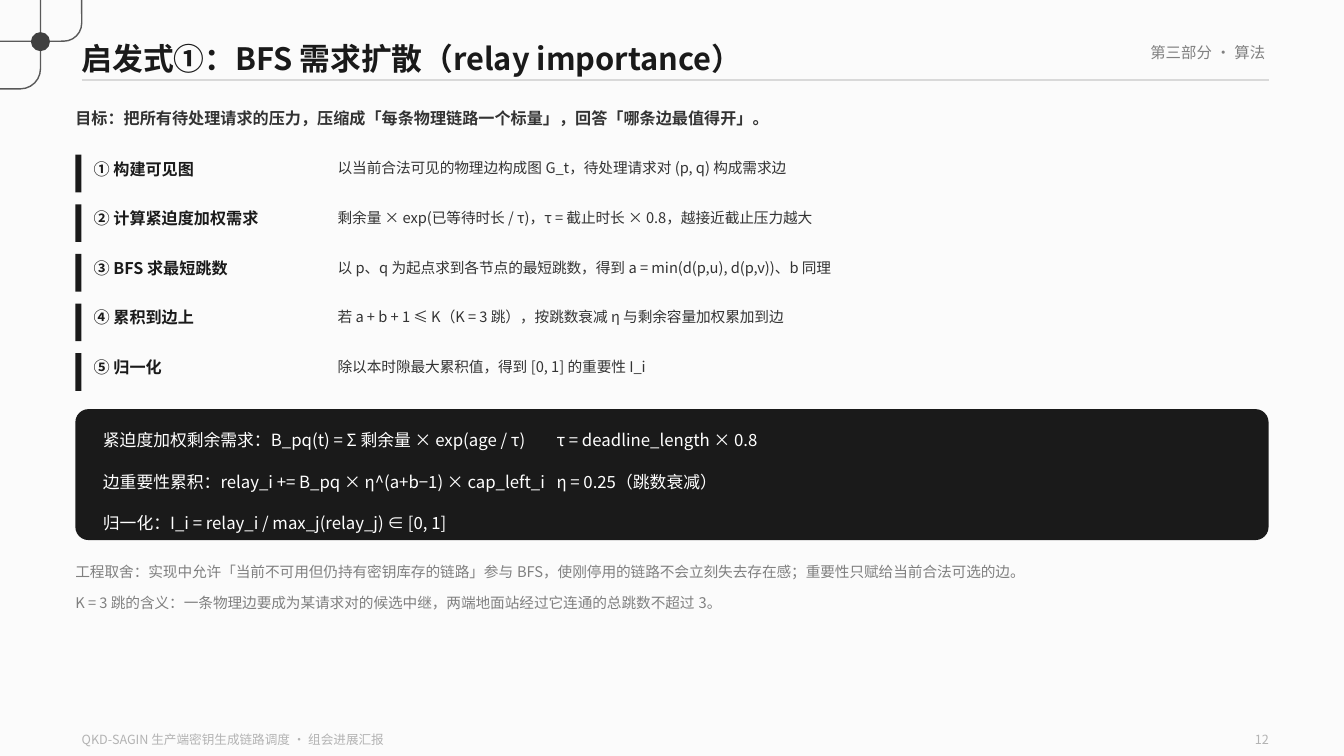
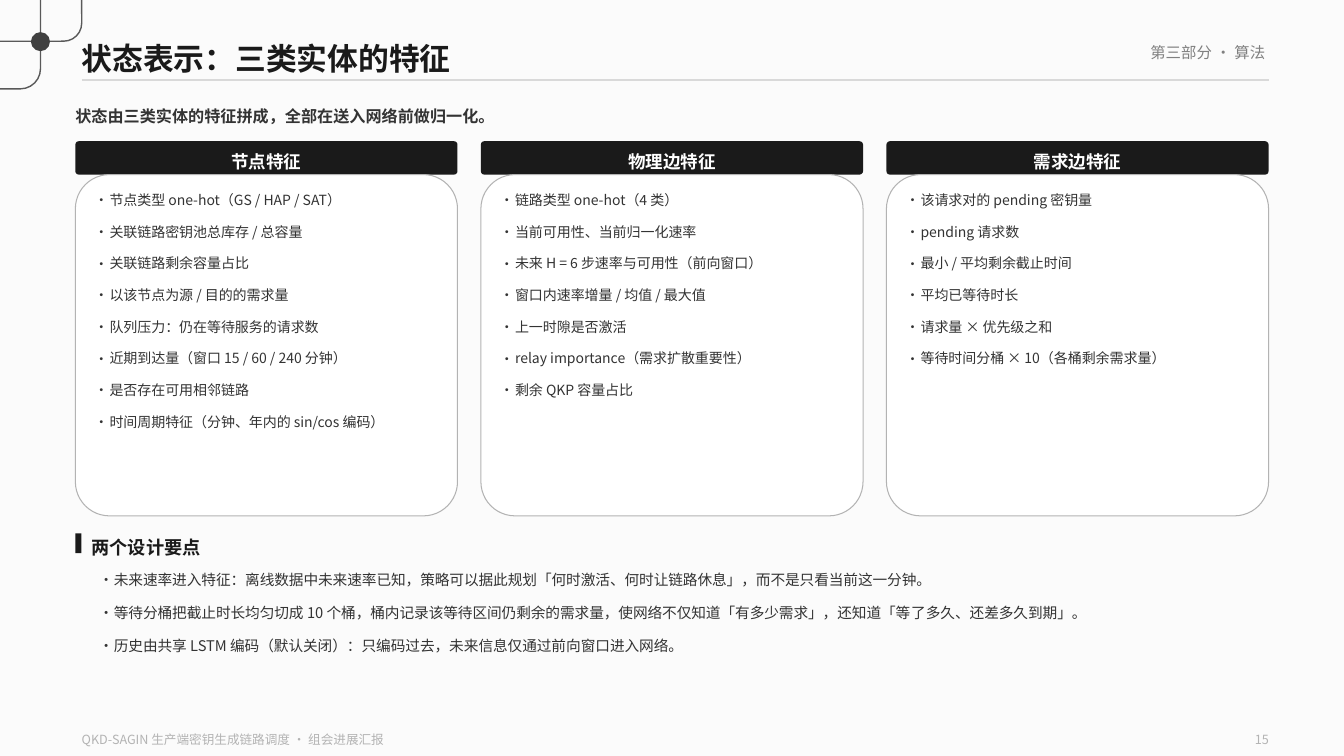
from lxml import etree
from pptx import Presentation
from pptx.dml.color import RGBColor
from pptx.enum import shapes as kinds, text as txt
from pptx.oxml import ns
from pptx.util import Cm, Pt

FONT = "Noto Sans CJK SC"
INK, BODY, GREY, PALE, RULE, WHITE = "1A1A1A", "333333", "808080", "B3B3B3", "D9D9D9", "FFFFFF"
LEFT, WIDE = 1.9, 30.07
HEAD, RIGHT = 2.06, 31.98
hue = RGBColor.from_string
RECT, ROUND, OVAL = (kinds.MSO_SHAPE.RECTANGLE, kinds.MSO_SHAPE.ROUNDED_RECTANGLE,
                     kinds.MSO_SHAPE.OVAL)
START, MID, END = txt.PP_ALIGN.LEFT, txt.PP_ALIGN.CENTER, txt.PP_ALIGN.RIGHT
TOP, MIDDLE = txt.MSO_ANCHOR.TOP, txt.MSO_ANCHOR.MIDDLE


def draw(page, kind, area, fill=None, line=None, width=1, bend=None):
    """Add a preset shape; area is left, top, width, height in cm."""
    shape = page.shapes.add_shape(kind, *map(Cm, area))
    shape.shadow.inherit = False
    if fill:
        shape.fill.solid()
        shape.fill.fore_color.rgb = hue(fill)
    else:
        shape.fill.background()
    if line:
        shape.line.color.rgb = hue(line)
        shape.line.width = Pt(width)
    else:
        shape.line.fill.background()
    if bend is not None:
        shape.adjustments[0] = bend
    return shape


def write(page, lines, size, color, area=None, shape=None, bold=False, align=START,
          lead=1.3, gap=0, dots=False, stops=(), inset=(0, 0), anchor=TOP):
    """Fill a shape, or a new text box at area, with one paragraph a line."""
    if shape is None:
        shape = page.shapes.add_textbox(*map(Cm, area))
    elif area:
        shape.left, shape.top, shape.width, shape.height = map(Cm, area)
    frame = shape.text_frame
    frame.word_wrap = True
    frame.auto_size = txt.MSO_AUTO_SIZE.NONE
    frame.vertical_anchor = anchor
    frame.margin_left = frame.margin_right = Cm(inset[0])
    frame.margin_top = frame.margin_bottom = Cm(inset[1])
    for i, line in enumerate(lines):
        para = frame.add_paragraph() if i else frame.paragraphs[0]
        para.text = line
        props = para._p.get_or_add_pPr()
        props.set("marL", str(Cm(0.51) if dots else 0))
        props.set("indent", str(Cm(-0.38) if dots else 0))
        if dots:
            etree.SubElement(props, ns.qn("a:buFont"), typeface=FONT)
            etree.SubElement(props, ns.qn("a:buChar"), char="·")
        else:
            etree.SubElement(props, ns.qn("a:buNone"))
        if i < len(stops):
            tabs = etree.SubElement(props, ns.qn("a:tabLst"))
            etree.SubElement(tabs, ns.qn("a:tab"), pos=str(Cm(stops[i])), algn="l")
        para.alignment = align
        para.line_spacing = lead
        para.space_before = Pt(gap if i else 0)
        font = para.font
        font.size, font.bold, font.name = Pt(size), bold, FONT
        font.color.rgb = hue(color)
        etree.SubElement(props.find(ns.qn("a:defRPr")), ns.qn("a:ea"), typeface=FONT)


deck = Presentation()
deck.slide_width, deck.slide_height = Cm(33.87), Cm(19.05)
master = deck.slide_master
master.background.fill.solid()
master.background.fill.fore_color.rgb = hue("FBFBFB")

pages = []
for title, number in (("启发式①：BFS 需求扩散（relay importance）", "12"),
                      ("状态表示：三类实体的特征", "15")):
    page = deck.slides.add_slide(deck.slide_layouts[1])
    write(page, [title], 22, INK, (HEAD, 0.71, 20, 1.2), page.shapes.title, bold=True)
    pages.append(page)
    if len(pages) == 1:
        # Shared decoration, header and footer go to the master
        draw(page, ROUND, (-3.48, -1.14, 4.5, 3.38), line="595959", bend=0.15)
        draw(page, ROUND, (-1.63, -0.94, 3.69, 1.98), line="595959", bend=0.23)
        draw(page, OVAL, (0.78, 0.81, 0.48, 0.48), fill="404040")
        rule = page.shapes.add_connector(kinds.MSO_CONNECTOR.STRAIGHT,
                                         Cm(HEAD), Cm(2.02), Cm(RIGHT), Cm(2.02))
        rule.line.color.rgb = hue(RULE)
        rule.line.width = Pt(1)
        etree.SubElement(rule.element.spPr, ns.qn("a:effectLst"))
        write(page, ["第三部分 · 算法"], 11, GREY, (21.5, 0.94, 10.39, 0.8), align=END)
        write(page, ["QKD-SAGIN 生产端密钥生成链路调度 · 组会进展汇报"], 9, PALE,
              (HEAD, 18.34, 16, 0.5))
        shared = [s for s in page.shapes if not s.is_placeholder]
        for i, shape in enumerate(shared):
            shape.element.xpath("./*/p:cNvPr")[0].set("id", str(20 + i))
            master.element.cSld.spTree.insert(2 + i, shape.element)
    write(page, [number], 9, PALE, (27.98, 18.34, 4, 0.5), align=END)

# Demand diffusion
page = pages[0]
write(page, ["目标：把所有待处理请求的压力，压缩成「每条物理链路一个标量」，回答「哪条边最值得开」。"],
      11.5, BODY, (LEFT, 2.54, WIDE, 1.2), bold=True, lead=1.4)
steps = [
    ("① 构建可见图", "以当前合法可见的物理边构成图 G_t，待处理请求对 (p, q) 构成需求边"),
    ("② 计算紧迫度加权需求", "剩余量 × exp(已等待时长 / τ)，τ = 截止时长 × 0.8，越接近截止压力越大"),
    ("③ BFS 求最短跳数", "以 p、q 为起点求到各节点的最短跳数，得到 a = min(d(p,u), d(p,v))、b 同理"),
    ("④ 累积到边上", "若 a + b + 1 ≤ K（K = 3 跳），按跳数衰减 η 与剩余容量加权累加到边"),
    ("⑤ 归一化", "除以本时隙最大累积值，得到 [0, 1] 的重要性 I_i"),
]
for i, (name, note) in enumerate(steps):
    y = 3.86 + 1.25 * i
    draw(page, RECT, (LEFT, y + 0.04, 0.15, 0.95), fill=INK)
    write(page, [name], 11.5, INK, (2.36, y, 6, 0.6), bold=True)
    write(page, [note], 10.5, BODY, (8.51, y, 23.47, 1), lead=1.35)
panel = draw(page, ROUND, (LEFT, 10.31, WIDE, 3.3), fill=INK, bend=0.1)
write(page, ["紧迫度加权剩余需求：B_pq(t) = Σ 剩余量 × exp(age / τ)\tτ = deadline_length × 0.8",
             "边重要性累积：relay_i += B_pq × η^(a+b−1) × cap_left_i\tη = 0.25（跳数衰减）",
             "归一化：I_i = relay_i / max_j(relay_j) ∈ [0, 1]"],
      12, WHITE, shape=panel, lead=1.5, gap=8, stops=(12.42, 12.73), inset=(0.6, 0.18))
write(page, ["工程取舍：实现中允许「当前不可用但仍持有密钥库存的链路」参与 BFS，使刚停用的链路不会立刻失去存在感；重要性只赋给当前合法可选的边。",
             "K = 3 跳的含义：一条物理边要成为某请求对的候选中继，两端地面站经过它连通的总跳数不超过 3。"],
      10.5, GREY, (LEFT, 14, WIDE, 2.2), page.placeholders[1], lead=1.4, gap=5)

# State features
page = pages[1]
write(page, ["状态由三类实体的特征拼成，全部在送入网络前做归一化。"],
      11.5, BODY, (LEFT, 2.54, WIDE, 0.9), bold=True)
cards = [
    ("节点特征", ["节点类型 one-hot（GS / HAP / SAT）", "关联链路密钥池总库存 / 总容量",
              "关联链路剩余容量占比", "以该节点为源 / 目的的需求量",
              "队列压力：仍在等待服务的请求数", "近期到达量（窗口 15 / 60 / 240 分钟）",
              "是否存在可用相邻链路", "时间周期特征（分钟、年内的 sin/cos 编码）"]),
    ("物理边特征", ["链路类型 one-hot（4 类）", "当前可用性、当前归一化速率",
               "未来 H = 6 步速率与可用性（前向窗口）", "窗口内速率增量 / 均值 / 最大值",
               "上一时隙是否激活", "relay importance（需求扩散重要性）",
               "剩余 QKP 容量占比"]),
    ("需求边特征", ["该请求对的 pending 密钥量", "pending 请求数", "最小 / 平均剩余截止时间",
               "平均已等待时长", "请求量 × 优先级之和", "等待时间分桶 × 10（各桶剩余需求量）"]),
]
span = 9.63
step = (WIDE - span) / (len(cards) - 1)
for i, (name, traits) in enumerate(cards):
    x = LEFT + step * i
    band = draw(page, ROUND, (x, 3.56, span, 0.84), fill=INK, bend=0.1)
    write(page, [name], 12.5, WHITE, shape=band, bold=True, align=MID, anchor=MIDDLE)
    card = draw(page, ROUND, (x, 4.4, span, 8.6), fill=WHITE, line=PALE, width=0.75, bend=0.1)
    write(page, traits, 10, BODY, shape=card, gap=7, dots=True, inset=(0.1, 0.05))
draw(page, RECT, (LEFT, 13.44, 0.15, 0.5), fill=INK)
write(page, ["两个设计要点"], 13, INK, (2.31, 13.36, 29.6, 0.7), bold=True)
write(page, ["未来速率进入特征：离线数据中未来速率已知，策略可以据此规划「何时激活、何时让链路休息」，而不是只看当前这一分钟。",
             "等待分桶把截止时长均匀切成 10 个桶，桶内记录该等待区间仍剩余的需求量，使网络不仅知道「有多少需求」，还知道「等了多久、还差多久到期」。",
             "历史由共享 LSTM 编码（默认关闭）：只编码过去，未来信息仅通过前向窗口进入网络。"],
      10.5, BODY, (2.36, 14.2, 29.62, 3), page.placeholders[1], lead=1.4, gap=6, dots=True)

deck.save("out.pptx")
